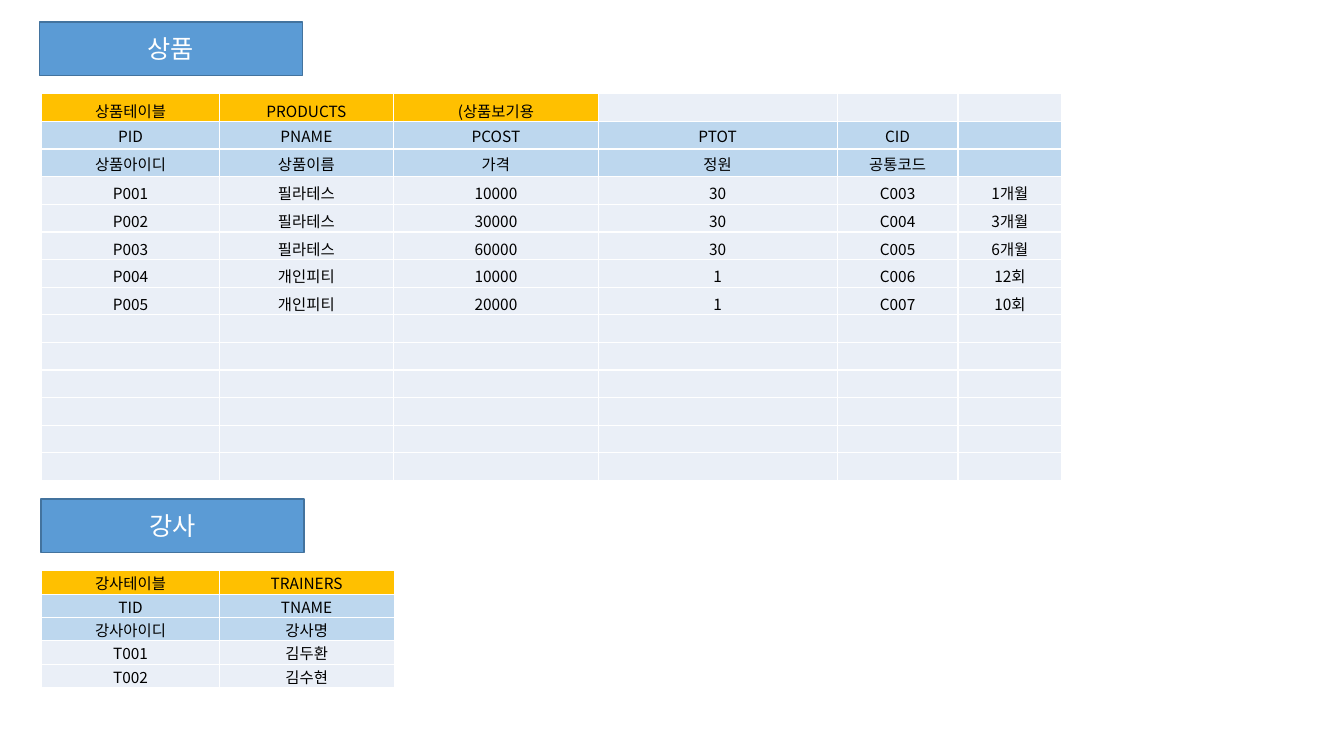
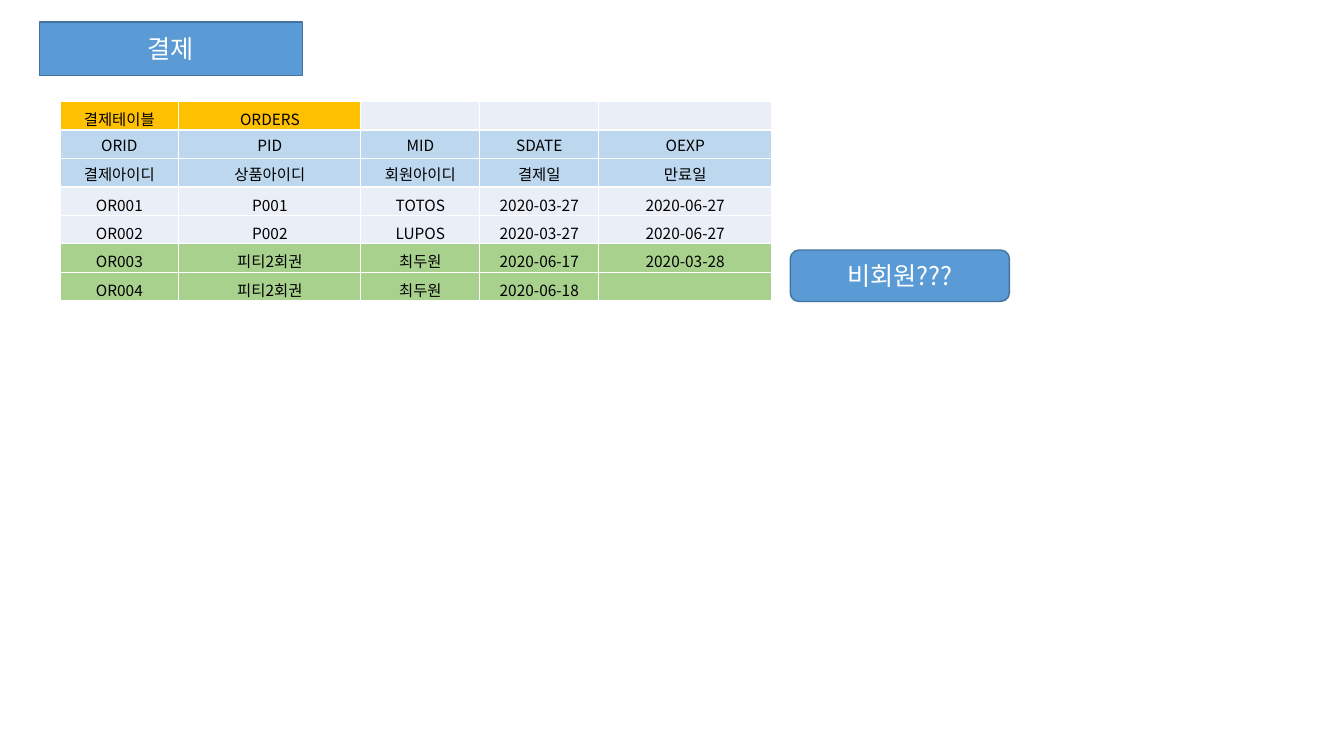
from dataclasses import dataclass

from lxml import etree
from pptx import Presentation
from pptx.dml.color import RGBColor
from pptx.enum.shapes import MSO_SHAPE
from pptx.enum.text import MSO_ANCHOR, PP_ALIGN
from pptx.oxml.ns import qn
from pptx.slide import Slide
from pptx.table import _Cell
from pptx.text.text import _Paragraph
from pptx.util import Pt

RECTANGLE = MSO_SHAPE.RECTANGLE
ROUNDED = MSO_SHAPE.ROUNDED_RECTANGLE
MIDDLE, BOTTOM = MSO_ANCHOR.MIDDLE, MSO_ANCHOR.BOTTOM
CENTER = PP_ALIGN.CENTER

FONT = "Noto Sans CJK KR"
CELL_SIZE = 11
BOX_SIZE = 18
BLANK_LAYOUT = 6
HEADER_ROWS = (1, 2)
COLORS = {
    "box": "5B9BD5",
    "box_line": "43739E",
    "title": "FFC000",
    "header": "BDD7EE",
    "body": "EAEFF7",
    "highlight": "A9D18E",
    "white": "FFFFFF",
    "black": "000000",
}


@dataclass(frozen=True)
class Box:
    text: str
    left: float
    top: float
    width: float = 188
    height: float = 38.2
    kind: MSO_SHAPE = RECTANGLE


@dataclass(frozen=True)
class Grid:
    """A table whose first row names it and whose next two rows are headers."""
    left: float
    top: float
    widths: tuple[float, ...]
    row_height: float
    rows: tuple[tuple[str, ...], ...]
    empty_rows: int = 0
    highlighted: tuple[int, ...] = ()


PRODUCTS = Grid(
    29.9, 67, (126.7, 124.6, 146.2, 170.6, 86.4, 74.2), 19.75,
    (
        ("상품테이블", "PRODUCTS", "(상품보기용"),
        ("PID", "PNAME", "PCOST", "PTOT", "CID"),
        ("상품아이디", "상품이름", "가격", "정원", "공통코드"),
        ("P001", "필라테스", "10000", "30", "C003", "1개월"),
        ("P002", "필라테스", "30000", "30", "C004", "3개월"),
        ("P003", "필라테스", "60000", "30", "C005", "6개월"),
        ("P004", "개인피티", "10000", "1", "C006", "12회"),
        ("P005", "개인피티", "20000", "1", "C007", "10회"),
    ),
    empty_rows=6,
)
TRAINERS = Grid(
    29.9, 407.7, (126.7, 125), 16.6,
    (
        ("강사테이블", "TRAINERS"),
        ("TID", "TNAME"),
        ("강사아이디", "강사명"),
        ("T001", "김두환"),
        ("T002", "김수현"),
    ),
)
ORDERS = Grid(
    42.8, 72.6, (85, 130, 85, 85, 123.5), 20.35,
    (
        ("결제테이블", "ORDERS"),
        ("ORID", "PID", "MID", "SDATE", "OEXP"),
        ("결제아이디", "상품아이디", "회원아이디", "결제일", "만료일"),
        ("OR001", "P001", "TOTOS", "2020-03-27", "2020-06-27"),
        ("OR002", "P002", "LUPOS", "2020-03-27", "2020-06-27"),
        ("OR003", "피티2회권", "최두원", "2020-06-17", "2020-03-28"),
        ("OR004", "피티2회권", "최두원", "2020-06-18"),
    ),
    highlighted=(5, 6),
)
SLIDES = (
    (PRODUCTS, Box("상품", 28.1, 15.8), Box("강사", 29.2, 356.4), TRAINERS),
    (
        ORDERS,
        Box("결제", 28.1, 15.8),
        Box("비회원???", 564.5, 178.6, 156.5, 36.7, ROUNDED),
    ),
)


def color(name: str) -> RGBColor:
    return RGBColor.from_string(COLORS[name])


def write(paragraph: _Paragraph, text: str, size: float, color_name: str) -> None:
    paragraph.alignment = CENTER
    run = paragraph.add_run()
    run.text = text
    run.font.size = Pt(size)
    run.font.name = FONT
    run.font.color.rgb = color(color_name)
    east_asian = etree.SubElement(run.font._element, qn("a:ea"))
    east_asian.set("typeface", FONT)


def add_borders(cell: _Cell) -> None:
    properties = cell._tc.get_or_add_tcPr()
    for side in ("lnL", "lnR", "lnT", "lnB"):
        line = etree.SubElement(properties, qn(f"a:{side}"), w=str(Pt(1)))
        fill = etree.SubElement(line, qn("a:solidFill"))
        etree.SubElement(fill, qn("a:srgbClr"), val=COLORS["white"])


def fill_name(grid: Grid, row: int, text: str) -> str:
    if row == 0 and text:
        return "title"
    if row in HEADER_ROWS:
        return "header"
    return "highlight" if row in grid.highlighted else "body"


def fill_cell(cell: _Cell, text: str, fill: str, anchor: MSO_ANCHOR) -> None:
    cell.margin_left = cell.margin_right = cell.margin_top = Pt(0.7)
    cell.margin_bottom = Pt(0)
    cell.vertical_anchor = anchor
    add_borders(cell)
    cell.fill.solid()
    cell.fill.fore_color.rgb = color(fill)
    paragraph = cell.text_frame.paragraphs[0]
    if text:
        write(paragraph, text, CELL_SIZE, "black")
    else:
        # An empty cell needs a small text size too, or its row grows.
        etree.SubElement(paragraph._p, qn("a:endParaRPr"), sz=str(CELL_SIZE * 100))


def add_grid(slide: Slide, grid: Grid) -> None:
    rows = grid.rows + ((),) * grid.empty_rows
    column_count = len(grid.widths)
    table = slide.shapes.add_table(
        len(rows), column_count, Pt(grid.left), Pt(grid.top),
        Pt(sum(grid.widths)), Pt(grid.row_height * len(rows)),
    ).table
    table.first_row = False
    table.horz_banding = False
    for column, width in zip(table.columns, grid.widths):
        column.width = Pt(width)
    for row, texts in enumerate(rows):
        table.rows[row].height = Pt(grid.row_height)
        anchor = MIDDLE if row in HEADER_ROWS else BOTTOM
        for column in range(column_count):
            text = texts[column] if column < len(texts) else ""
            fill_cell(table.cell(row, column), text, fill_name(grid, row, text), anchor)


def add_box(slide: Slide, box: Box) -> None:
    shape = slide.shapes.add_shape(
        box.kind, Pt(box.left), Pt(box.top), Pt(box.width), Pt(box.height)
    )
    shape.shadow.inherit = False
    shape.fill.solid()
    shape.fill.fore_color.rgb = color("box")
    shape.line.color.rgb = color("box_line")
    shape.line.width = Pt(1)
    shape.text_frame.vertical_anchor = MIDDLE
    write(shape.text_frame.paragraphs[0], box.text, BOX_SIZE, "white")


def main() -> None:
    presentation = Presentation()
    presentation.slide_width = Pt(960)
    presentation.slide_height = Pt(540)
    for items in SLIDES:
        slide = presentation.slides.add_slide(presentation.slide_layouts[BLANK_LAYOUT])
        for item in items:
            if isinstance(item, Grid):
                add_grid(slide, item)
            else:
                add_box(slide, item)
    presentation.save("out.pptx")


if __name__ == "__main__":
    main()
